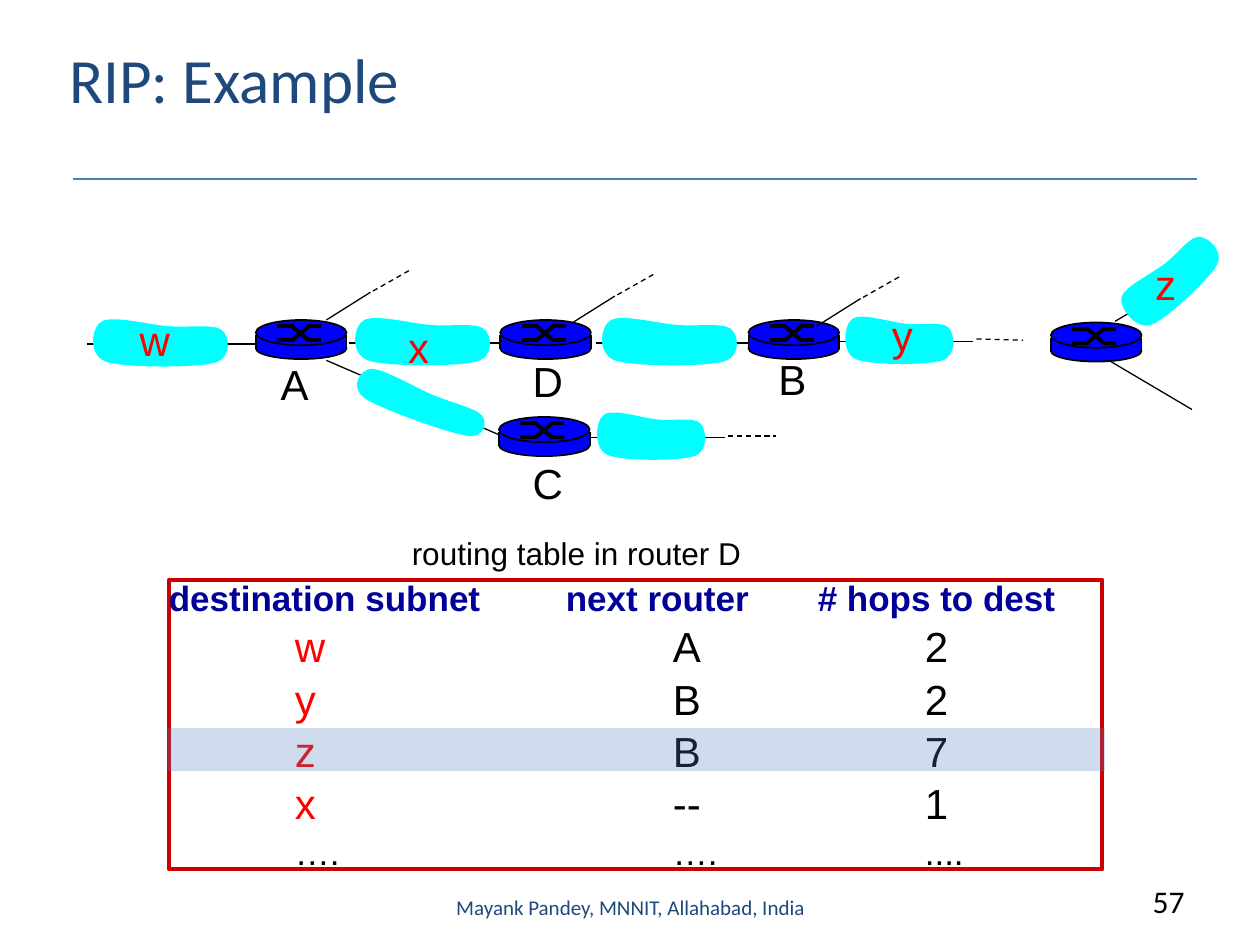
from lxml import etree
from pptx import Presentation
from pptx.dml.color import RGBColor
from pptx.enum.dml import MSO_LINE
from pptx.enum.shapes import MSO_CONNECTOR, MSO_SHAPE
from pptx.enum.text import MSO_ANCHOR, PP_ALIGN
from pptx.oxml.ns import qn
from pptx.util import Inches, Pt

STRAIGHT = MSO_CONNECTOR.STRAIGHT
DASH = MSO_LINE.DASH
RECTANGLE, OVAL = MSO_SHAPE.RECTANGLE, MSO_SHAPE.OVAL
LEFT, CENTER, RIGHT = PP_ALIGN.LEFT, PP_ALIGN.CENTER, PP_ALIGN.RIGHT
MIDDLE, TOP = MSO_ANCHOR.MIDDLE, MSO_ANCHOR.TOP

COLORS = {name: RGBColor.from_string(value) for name, value in {
    "black": "000000", "red": "FF0000", "navy": "1F497D", "header": "000099",
    "border": "CC0000", "router": "0000FF", "subnet": "00FFFF",
    "rule": "4B7EBC", "highlight": "4F81BD"}.items()}
THEME = {
    "title": {"name": "Calibri", "size": Pt(36), "bold": False},
    "number": {"name": "Calibri", "size": Pt(18), "bold": False},
    "footer": {"name": "Calibri", "size": Pt(12), "bold": False},
    "caption": {"name": "Arial", "size": Pt(18), "bold": False},
    "label": {"name": "Arial", "size": Pt(24), "bold": False},
    "header": {"name": "Arial", "size": Pt(20), "bold": True},
    "dots": {"name": "Arial", "size": Pt(20), "bold": False},
}


def add_line(shapes, start, end, width=0.75, color="black", dash=None):
    line = shapes.add_connector(STRAIGHT, *map(Inches, (*start, *end)))
    line.line.color.rgb = COLORS[color]
    line.line.width = Pt(width)
    if dash:
        line.line.dash_style = dash
    etree.SubElement(line._element.spPr, qn("a:effectLst"))


def add_run(paragraph, text, style, color):
    run = paragraph.add_run()
    run.text = text
    for attribute, value in THEME[style].items():
        setattr(run.font, attribute, value)
    run.font.color.rgb = COLORS[color]


presentation = Presentation()
presentation.slide_width = Inches(10)
presentation.slide_height = Inches(7.5)
slide = presentation.slides.add_slide(presentation.slide_layouts[5])
shapes = slide.shapes

title = shapes.title
title.left, title.top, title.width, title.height = map(Inches, (0.45, 0, 8.5, 1.25))
title.text_frame.vertical_anchor = MIDDLE
title.text_frame.paragraphs[0].alignment = LEFT
add_run(title.text_frame.paragraphs[0], "RIP: Example", "title", "navy")
add_line(shapes, (0.58, 1.42), (9.5, 1.42), color="rule")

# Links between subnets and routers
for left, y in [(0.69, 2.73), (2.77, 2.72), (4.73, 2.72)]:
    add_line(shapes, (left, y), (left + 1.36, y), width=1)
for start, end in [
    ((6.65, 2.71), (7.72, 2.71)),
    ((8.85, 2.55), (9.51, 2.16)),
    ((8.8, 2.86), (9.46, 3.25)),
    ((2.59, 2.86), (3.96, 3.45)),
    ((4.68, 3.47), (5.75, 3.47)),
]:
    add_line(shapes, start, end)
for start, end in [((7.75, 2.69), (8.12, 2.7)), ((5.78, 3.46), (6.16, 3.46))]:
    add_line(shapes, start, end, dash=DASH)

# Subnet outline: a start point, then three points for each Bezier curve
OUTLINE_WIDTH, OUTLINE_HEIGHT = 116, 42
OUTLINE = [(66, 9), (50, 8), (21, 0), (12, 5), (4, 9), (0, 31), (15, 37), (29, 42),
           (86, 42), (101, 38), (116, 34), (113, 16), (107, 12), (101, 7), (82, 10),
           (66, 9)]
for left, top, width, height, rotation in [
    (2.77, 2.49, 1.16, 0.42, 0),
    (2.76, 3.04, 1.16, 0.31, 19.7),
    (0.69, 2.5, 1.16, 0.42, 0),
    (4.73, 2.49, 1.16, 0.42, 0),
    (6.67, 2.48, 0.93, 0.42, 0),
    (8.81, 2.01, 0.95, 0.42, 316.8),
    (4.7, 3.24, 0.93, 0.42, 0),
]:
    points = [(Inches(left + x * width / OUTLINE_WIDTH),
               Inches(top + y * height / OUTLINE_HEIGHT)) for x, y in OUTLINE]
    builder = shapes.build_freeform(*points[0])
    builder.add_line_segments(points[1:], close=True)
    subnet = builder.convert_to_shape()
    subnet.rotation = rotation
    subnet.shadow.inherit = False
    subnet.fill.solid()
    subnet.fill.fore_color.rgb = COLORS["subnet"]
    subnet.line.fill.background()
    path = subnet._element.find(".//" + qn("a:path"))
    segments = path.findall(qn("a:lnTo"))
    for first in range(0, len(segments), 3):
        curve = etree.Element(qn("a:cubicBezTo"))
        segments[first].addprevious(curve)
        for segment in segments[first:first + 3]:
            curve.append(segment[0])
            path.remove(segment)

# Routers: two discs joined by a band, with a crossed switch sign on top
BODY = [(OVAL, 0.14, 0.17, True), (RECTANGLE, 0.12, 0.1, False), (OVAL, 0, 0.2, True)]
HIGH, LOW = 0.05, 0.16
for left, top in [(3.97, 2.54), (3.96, 3.31), (5.94, 2.54), (8.34, 2.56), (2.03, 2.54)]:
    router = shapes.add_group_shape().shapes
    for kind, offset, height, outlined in BODY:
        part = router.add_shape(kind, *map(Inches, (left, top + offset, 0.72, height)))
        part.shadow.inherit = False
        part.fill.solid()
        part.fill.fore_color.rgb = COLORS["router"]
        if outlined:
            part.line.color.rgb = COLORS["black"]
            part.line.width = Pt(1)
        else:
            part.line.fill.background()
    for x in (left, left + 0.72):
        add_line(router, (x, top + 0.12), (x, top + 0.23), width=1)
    for y1, y2 in [(HIGH, LOW), (LOW, HIGH)]:
        for x1, x2, begin, finish in [(0.17, 0.3, y1, y1), (0.29, 0.42, y1, y2),
                                      (0.41, 0.52, y2, y2)]:
            add_line(router, (left + x1, top + begin), (left + x2, top + finish), width=2.25)

# Links that leave routers A, D and B
for x, y in [(2.59, 2.54), (4.53, 2.57), (6.48, 2.59)]:
    add_line(shapes, (x, y), (x + 0.35, y - 0.22))
    add_line(shapes, (x + 0.37, y - 0.23), (x + 0.67, y - 0.4), dash=DASH)

# Routing table in one framed text, with its columns at tab stops
table = shapes.add_shape(RECTANGLE, *map(Inches, (1.34, 4.6, 7.41, 2.3)))
table.shadow.inherit = False
table.fill.background()
table.line.color.rgb = COLORS["border"]
table.line.width = Pt(2.25)
frame = table.text_frame
frame.margin_left = frame.margin_right = frame.margin_top = frame.margin_bottom = 0
frame.vertical_anchor = MIDDLE
HEADER_TABS, ROW_TABS = (3.15, 5.15), (1, 4, 6)
for index, (tabs, style, cells) in enumerate([
    (HEADER_TABS, "header", [("destination subnet", "header"),
                             ("\tnext router\t# hops to dest", "header")]),
    (ROW_TABS, "label", [("\tw", "red"), ("\tA\t2", "black")]),
    (ROW_TABS, "label", [("\ty", "red"), ("\tB\t2", "black")]),
    (ROW_TABS, "label", [("\tz", "red"), ("\tB\t7", "black")]),
    (ROW_TABS, "label", [("\tx", "red"), ("\t--\t1", "black")]),
    (ROW_TABS, "dots", [("\t….\t….\t....", "black")]),
]):
    paragraph = frame.add_paragraph() if index else frame.paragraphs[0]
    paragraph.alignment = LEFT
    if index:
        paragraph.space_before = Pt(1.1)
    tab_list = etree.SubElement(paragraph._p.get_or_add_pPr(), qn("a:tabLst"))
    for position in tabs:
        etree.SubElement(tab_list, qn("a:tab"), pos=str(Inches(position)), algn="l")
    for text, color in cells:
        add_run(paragraph, text, style, color)

highlight = shapes.add_shape(RECTANGLE, *map(Inches, (1.33, 5.78, 7.44, 0.34)))
highlight.shadow.inherit = False
highlight.fill.solid()
highlight.fill.fore_color.rgb = COLORS["highlight"]
highlight.line.fill.background()
color_element = highlight._element.spPr.find(qn("a:solidFill"))[0]
etree.SubElement(color_element, qn("a:alpha"), val="27000")

for text, left, top, width, height, style, color, alignment, anchor, wrap in [
    ("w", 1.01, 2.45, 0.43, 0.5, "label", "red", LEFT, TOP, False),
    ("x", 3.14, 2.5, 0.4, 0.5, "label", "red", LEFT, TOP, False),
    ("y", 6.98, 2.41, 0.38, 0.5, "label", "red", LEFT, TOP, False),
    ("z", 9.07, 2, 0.38, 0.5, "label", "red", LEFT, TOP, False),
    ("A", 2.13, 2.8, 0.44, 0.5, "label", "black", LEFT, TOP, False),
    ("C", 4.13, 3.58, 0.4, 0.5, "label", "black", LEFT, TOP, False),
    ("D", 4.13, 2.77, 0.44, 0.5, "label", "black", LEFT, TOP, False),
    ("B", 6.08, 2.76, 0.41, 0.5, "label", "black", LEFT, TOP, False),
    ("routing table in router D", 3.17, 4.19, 3.07, 0.4, "caption", "black", LEFT, TOP, False),
    ("57", 8.75, 6.95, 0.75, 0.4, "number", "black", RIGHT, TOP, True),
    ("Mayank Pandey, MNNIT, Allahabad, India", 3.42, 7, 3.17, 0.4,
     "footer", "navy", CENTER, MIDDLE, True),
]:
    box = shapes.add_textbox(*map(Inches, (left, top, width, height)))
    box.text_frame.word_wrap = wrap
    box.text_frame.vertical_anchor = anchor
    paragraph = box.text_frame.paragraphs[0]
    paragraph.alignment = alignment
    add_run(paragraph, text, style, color)

presentation.save("out.pptx")
